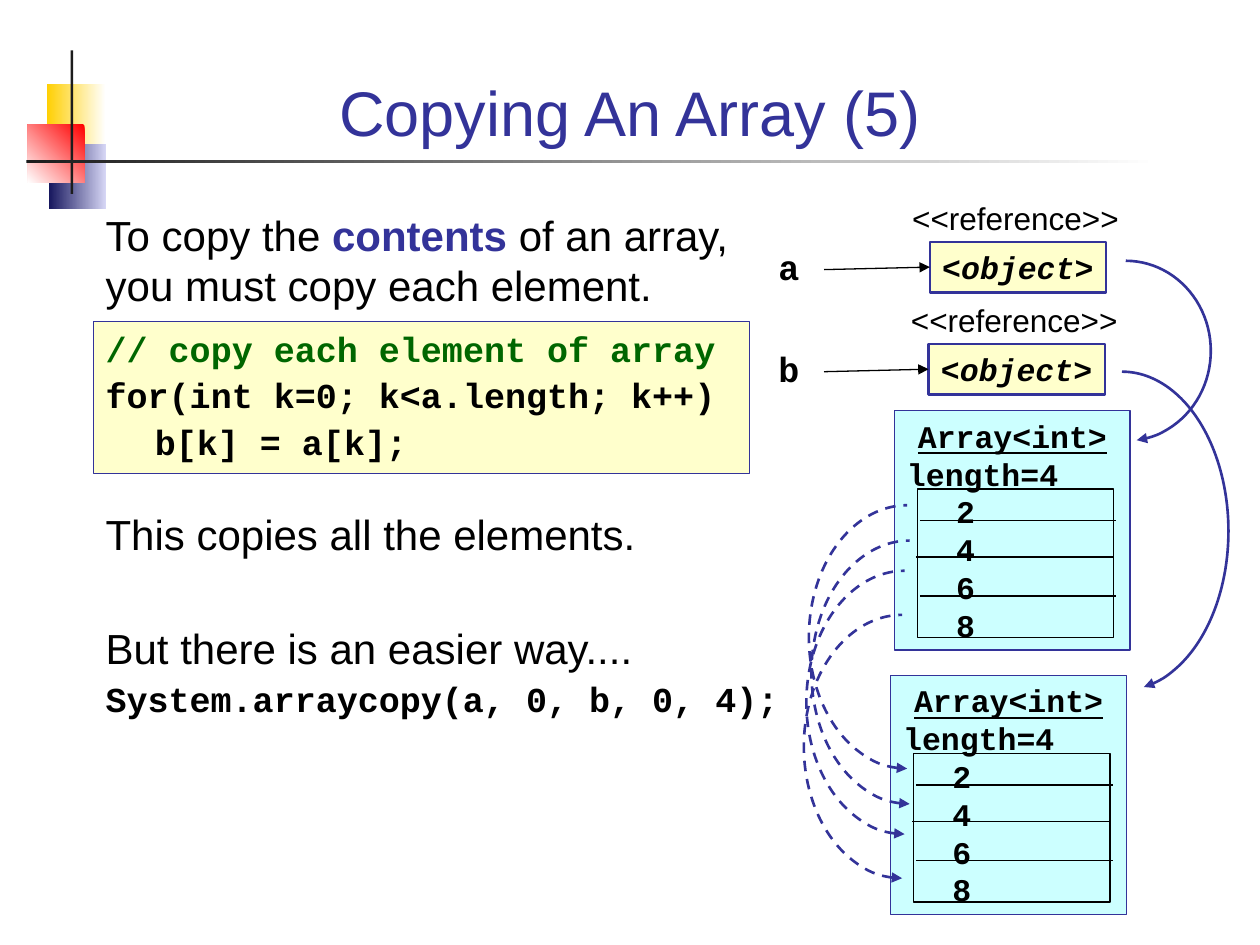
from pptx import Presentation
from pptx.dml.color import RGBColor
from pptx.enum.dml import MSO_LINE
from pptx.enum.shapes import MSO_CONNECTOR, MSO_SHAPE
from pptx.enum.text import MSO_ANCHOR, PP_ALIGN
from pptx.oxml.ns import qn
from pptx.util import Inches, Pt
from lxml.etree import SubElement

BLACK = RGBColor(0x00, 0x00, 0x00)
WHITE = RGBColor(0xFF, 0xFF, 0xFF)
INDIGO = RGBColor(0x33, 0x33, 0x99)
GREEN = RGBColor(0x00, 0x66, 0x00)
CREAM = RGBColor(0xFF, 0xFF, 0xCC)
AQUA = RGBColor(0xCC, 0xFF, 0xFF)
GOLD = RGBColor(0xFF, 0xCF, 0x01)
RED = RGBColor(0xFF, 0x00, 0x00)
NAVY = RGBColor(0x17, 0x17, 0x5E)
LAVENDER = RGBColor(0xD6, 0xD6, 0xF5)
CHARCOAL = RGBColor(0x1C, 0x1C, 0x1C)

SANS = "Arial"
MONO = "Courier New"
TAB_STOP = Inches(0.39)


def add_tab_stop(paragraph):
    properties = paragraph._p.get_or_add_pPr()
    tabs = SubElement(properties, qn("a:tabLst"))
    SubElement(tabs, qn("a:tab"), pos=str(TAB_STOP), algn="l")


def add_paragraph(frame, text, first=False, size=24, font=SANS, color=BLACK, bold=False,
                  underline=False, align=PP_ALIGN.LEFT, before=0):
    paragraph = frame.paragraphs[0] if first else frame.add_paragraph()
    paragraph.alignment = align
    paragraph.space_before = Pt(before)
    runs = [(text, {})] if isinstance(text, str) else text
    if any("\t" in part for part, _ in runs):
        add_tab_stop(paragraph)
    for part, changes in runs:
        if part == "\n":
            paragraph.add_line_break()
            continue
        run = paragraph.add_run()
        run.text = part
        run.font.size = Pt(size)
        run.font.name = font
        run.font.bold = changes.get("bold", bold)
        run.font.italic = changes.get("italic", False)
        run.font.underline = underline
        run.font.color.rgb = changes.get("color", color)


def write_text(shape, paragraphs, anchor=MSO_ANCHOR.TOP, wrap=True, **style):
    frame = shape.text_frame
    frame.word_wrap = wrap
    frame.vertical_anchor = anchor
    for index, (text, changes) in enumerate(paragraphs):
        add_paragraph(frame, text, first=index == 0, **{**style, **changes})


def add_text(slide, left, top, width, height, paragraphs, **style):
    box = slide.shapes.add_textbox(Inches(left), Inches(top), Inches(width), Inches(height))
    write_text(box, paragraphs, **style)


def add_box(slide, left, top, width, height, fill=None, line=None, weight=0.75):
    box = slide.shapes.add_shape(MSO_SHAPE.RECTANGLE, Inches(left), Inches(top),
                                 Inches(width), Inches(height))
    box.shadow.inherit = False
    if fill is None:
        box.fill.background()
    else:
        box.fill.solid()
        box.fill.fore_color.rgb = fill
    if line is None:
        box.line.fill.background()
    else:
        box.line.color.rgb = line
        box.line.width = Pt(weight)
    return box


def add_gradient_box(slide, left, top, width, height, start, end, angle=0):
    fill = add_box(slide, left, top, width, height).fill
    fill.gradient()
    fill.gradient_angle = angle
    for stop, color in zip(fill.gradient_stops, (start, end)):
        stop.color.rgb = color


def add_arrowhead(shape, end="tailEnd"):
    SubElement(shape.line._get_or_add_ln(), qn(f"a:{end}"), type="triangle")


def add_line(slide, x1, y1, x2, y2):
    line = slide.shapes.add_connector(MSO_CONNECTOR.STRAIGHT, Inches(x1), Inches(y1),
                                      Inches(x2), Inches(y2))
    line.line.color.rgb = BLACK
    line.line.width = Pt(0.75)
    SubElement(line._element.spPr, qn("a:effectLst"))
    return line


def add_arc(slide, left, top, width, height, start, end, arrow_end, dashed=False):
    arc = slide.shapes.add_shape(MSO_SHAPE.ARC, Inches(left), Inches(top),
                                 Inches(width), Inches(height))
    arc.shadow.inherit = False
    arc.fill.background()
    arc.adjustments[0] = start * 0.6
    arc.adjustments[1] = end * 0.6
    arc.line.color.rgb = INDIGO
    arc.line.width = Pt(1.5)
    if dashed:
        arc.line.dash_style = MSO_LINE.DASH
    add_arrowhead(arc, arrow_end)


def add_decoration(slide):
    add_gradient_box(slide, 0.37, 0.67, 0.47, 0.52, GOLD, WHITE)
    add_gradient_box(slide, 0.39, 1.14, 0.45, 0.52, NAVY, LAVENDER)
    add_gradient_box(slide, 0.22, 0.99, 0.45, 0.46, RED, WHITE, angle=225)
    add_box(slide, 0.56, 0.4, 0.02, 1.14, fill=CHARCOAL)
    add_gradient_box(slide, 0.21, 1.27, 8.98, 0.02, CHARCOAL, WHITE)


def add_reference(slide, name, left, top):
    add_text(slide, 6.08, top - 0.02, 0.36, 0.44, [(name, {})],
             wrap=False, size=20, font=MONO, bold=True)
    box = add_box(slide, left, top, 1.4, 0.4, CREAM, INDIGO, 1.5)
    value = [("<", {}), ("object", {"italic": True}), (">", {})]
    write_text(box, [(value, {})], wrap=False, size=18, font=MONO, bold=True)
    arrow = add_line(slide, 6.54, top + 0.22, left, top + 0.2)
    arrow.end_connect(box, 1)
    add_arrowhead(arrow)
    add_text(slide, left - 0.45, top - 0.39, 2.26, 0.4, [("<<reference>>", {})],
             size=18, align=PP_ALIGN.CENTER)


def add_array(slide, left, top, values):
    box = add_box(slide, left, top, 1.87, 1.9, AQUA, INDIGO)
    paragraphs = [("Array<int>", {"underline": True, "align": PP_ALIGN.CENTER}),
                  (f"length={len(values)}", {})]
    paragraphs += [(f"\t{value}", {}) for value in values]
    write_text(box, paragraphs, size=18, font=MONO, bold=True)
    add_box(slide, left + 0.18, top + 0.62, 1.56, 1.18, line=BLACK)
    for dx, dy in ((0.2, 0.87), (0.17, 1.16), (0.2, 1.47)):
        add_line(slide, left + dx, top + dy, left + dx + 1.56, top + dy)


def main():
    presentation = Presentation()
    presentation.slide_width = Inches(10)
    presentation.slide_height = Inches(7.5)
    slide = presentation.slides.add_slide(presentation.slide_layouts[6])

    add_decoration(slide)
    add_text(slide, 0.67, 0.28, 8.66, 0.95, [("Copying An Array (5)", {})],
             anchor=MSO_ANCHOR.BOTTOM, size=36, color=INDIGO, align=PP_ALIGN.CENTER)

    code = add_box(slide, 0.74, 2.55, 5.21, 1.21, CREAM, INDIGO)
    write_text(code, [("// copy each element of array", {"color": GREEN}),
                      ("for(int k=0; k<a.length; k++)", {"before": 2.5}),
                      ("\tb[k] = a[k];", {"before": 2.5})],
               size=20, font=MONO, bold=True)
    introduction = [("To copy the ", {}), ("contents", {"bold": True, "color": INDIGO}),
                    (" of an array, ", {}), ("\n", {}), ("you must copy each element.", {})]
    add_text(slide, 0.74, 1.61, 8.39, 0.9, [(introduction, {})])
    add_text(slide, 0.74, 3.99, 5.66, 1.75,
             [("This copies all the elements.", {}),
              ("But there is an easier way....", {"before": 36}),
              ("System.arraycopy(a, 0, b, 0, 4);",
               {"before": 2.5, "size": 20, "font": MONO, "bold": True})])

    add_reference(slide, "a", 7.38, 1.92)
    add_reference(slide, "b", 7.37, 2.73)
    for left, top in ((7.1, 3.26), (7.07, 5.36)):
        add_array(slide, left, top, (2, 4, 6, 8))

    for left, top in ((6.42, 4.01), (6.44, 4.29), (6.4, 4.53), (6.38, 4.88)):
        add_arc(slide, left, top, 1.56, 2.09, 90, 270, "headEnd", dashed=True)
    add_arc(slide, 8.26, 2.07, 1.35, 1.43, 270, 83, "tailEnd")
    add_arc(slide, 8.06, 2.95, 1.69, 2.53, 270, 82, "tailEnd")

    presentation.save("out.pptx")


if __name__ == "__main__":
    main()
